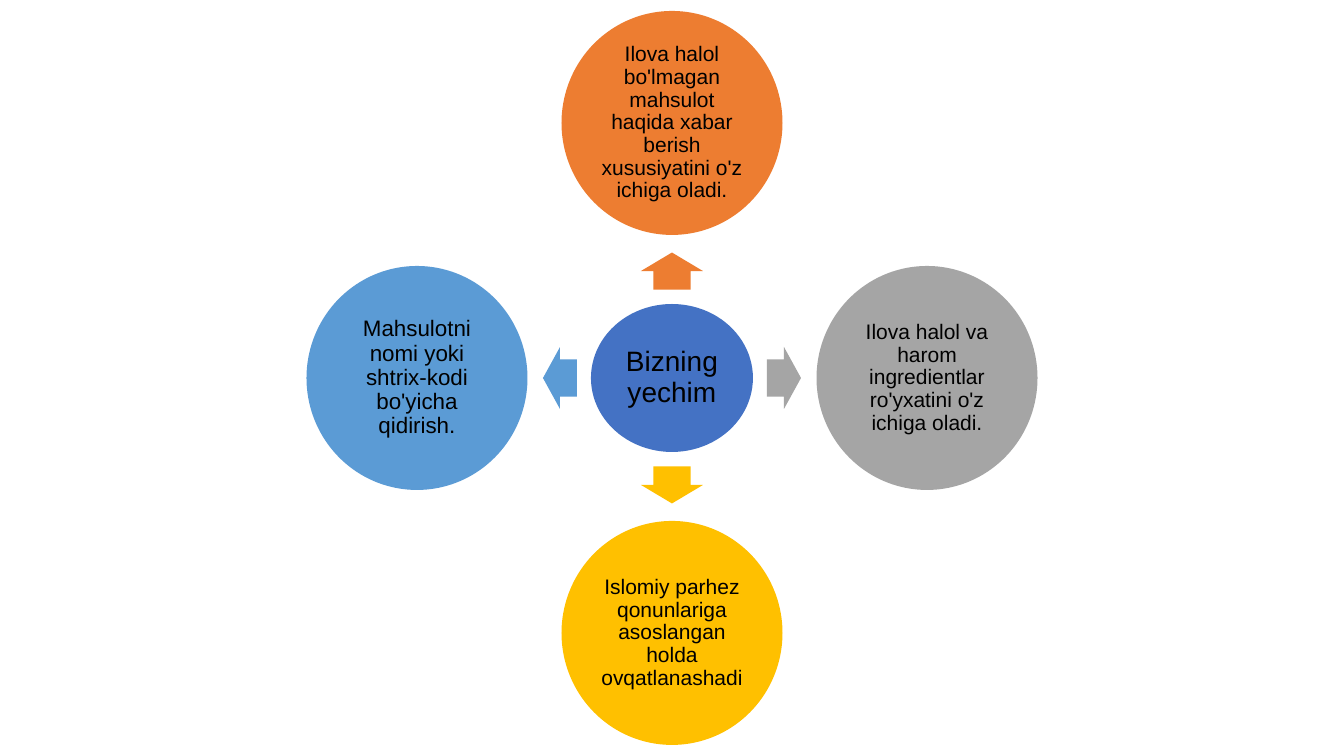
from pptx import Presentation
from pptx.dml.color import RGBColor
from pptx.enum.shapes import MSO_SHAPE
from pptx.enum.text import MSO_ANCHOR, PP_ALIGN
from pptx.util import Pt

EMU_PER_PX = 914400 / 100.8
SLIDE_SIZE = (1344, 756)
CENTER = (672, 378)
HUB_SIZE = (162, 148)
CIRCLE_SIZE = (221, 224)
CIRCLE_DISTANCE = 255
ARROW_WIDTH = 62
COLORS = {
    "hub": "4472C4",
    "report": "ED7D31",
    "ingredients": "A5A5A5",
    "diet": "FFC000",
    "search": "5B9BD5",
    "text": "000000",
}
# Each feature: color, direction, rotation, arrow distance, arrow length, font size, text
FEATURES = [
    ("report", (0, -1), 270, 107, 37, 15,
     "Ilova halol bo'lmagan mahsulot haqida xabar berish xususiyatini o'z ichiga oladi."),
    ("ingredients", (1, 0), 0, 112, 34, 15,
     "Ilova halol va harom ingredientlar ro'yxatini o'z ichiga oladi."),
    ("diet", (0, 1), 90, 107, 37, 15,
     "Islomiy parhez qonunlariga asoslangan holda ovqatlanashadi"),
    ("search", (-1, 0), 180, 112, 34, 16,
     "Mahsulotni nomi yoki shtrix-kodi bo'yicha qidirish."),
]


def px(value):
    """Convert picture pixels to EMU."""
    return round(value * EMU_PER_PX)


def move(direction, distance):
    """Return the point at a distance from the diagram center."""
    return tuple(c + d * distance for c, d in zip(CENTER, direction))


def add_centered(slide, kind, center, size, color):
    """Add a flat, borderless shape around a center point."""
    (x, y), (width, height) = center, size
    shape = slide.shapes.add_shape(
        kind, px(x - width / 2), px(y - height / 2), px(width), px(height))
    shape.shadow.inherit = False
    shape.fill.solid()
    shape.fill.fore_color.rgb = RGBColor.from_string(COLORS[color])
    shape.line.fill.background()
    return shape


def add_circle(slide, center, size, color, text, points, inset):
    """Add an ellipse with centered text."""
    frame = add_centered(slide, MSO_SHAPE.OVAL, center, size, color).text_frame
    frame.word_wrap = True
    frame.vertical_anchor = MSO_ANCHOR.MIDDLE
    frame.margin_left = frame.margin_right = px(inset)
    frame.margin_top = frame.margin_bottom = px(inset)
    paragraph = frame.paragraphs[0]
    paragraph.alignment = PP_ALIGN.CENTER
    paragraph.line_spacing = 0.9
    run = paragraph.add_run()
    run.text = text
    run.font.name = "Arial"
    run.font.size = Pt(points)
    run.font.color.rgb = RGBColor.from_string(COLORS["text"])


def add_arrow(slide, center, length, rotation, color):
    """Add a block arrow turned to point away from the hub."""
    arrow = add_centered(
        slide, MSO_SHAPE.RIGHT_ARROW, center, (length, ARROW_WIDTH), color)
    arrow.adjustments[0] = 0.6
    arrow.adjustments[1] = 0.5
    arrow.rotation = rotation


def main():
    """Build the radial diagram slide."""
    deck = Presentation()
    deck.slide_width, deck.slide_height = map(px, SLIDE_SIZE)
    slide = deck.slides.add_slide(deck.slide_layouts[6])
    add_circle(slide, CENTER, HUB_SIZE, "hub", "Bizning yechim", 20, 3)
    for color, direction, rotation, distance, length, points, text in FEATURES:
        add_arrow(slide, move(direction, distance), length, rotation, color)
        add_circle(slide, move(direction, CIRCLE_DISTANCE), CIRCLE_SIZE,
                   color, text, points, 2)
    deck.save("out.pptx")


main()
